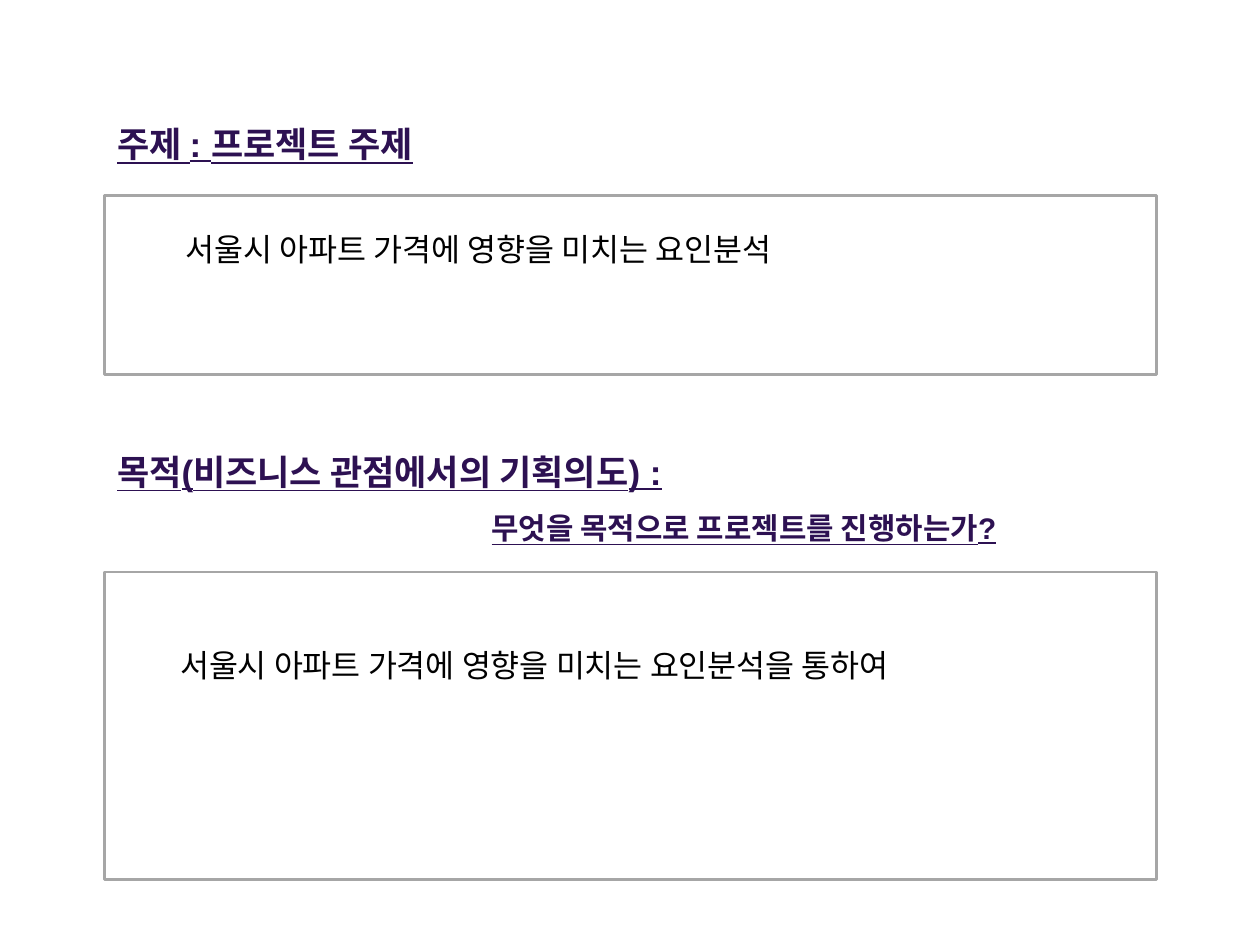
from dataclasses import dataclass

from lxml.etree import SubElement
from pptx import Presentation
from pptx.dml.color import RGBColor
from pptx.enum.shapes import MSO_SHAPE
from pptx.enum.text import MSO_ANCHOR, MSO_AUTO_SIZE, PP_ALIGN
from pptx.oxml.ns import qn
from pptx.util import Cm, Pt

LEFT, WIDTH = 2.11, 21.21
PURPLE, GREY, BLACK = "2D1152", "A6A6A6", "000000"
KOREAN = "Noto Sans CJK KR"


@dataclass
class Box:
    left: float
    top: float
    width: float
    height: float

    def lengths(self) -> tuple:
        return Cm(self.left), Cm(self.top), Cm(self.width), Cm(self.height)


@dataclass
class Line:
    text: str
    size: int
    heading: bool = False
    spacing: float = 1.0
    indent: float = 0


def color(value: str) -> RGBColor:
    return RGBColor.from_string(value)


def write(sp, lines: list[Line]) -> None:
    tf = sp.text_frame
    tf.word_wrap = True
    tf.auto_size = MSO_AUTO_SIZE.SHAPE_TO_FIT_TEXT
    tf.vertical_anchor = MSO_ANCHOR.TOP
    for i, line in enumerate(lines):
        p = tf.add_paragraph() if i else tf.paragraphs[0]
        p.alignment = PP_ALIGN.LEFT
        p.line_spacing = line.spacing
        if line.indent:
            p._p.get_or_add_pPr().set("marL", str(Cm(line.indent)))
        r = p.add_run()
        r.text = line.text
        r.font.size = Pt(line.size)
        r.font.bold = r.font.underline = line.heading
        r.font.color.rgb = color(PURPLE if line.heading else BLACK)
        r.font.name = "Arial" if line.heading else KOREAN
        SubElement(r.font._element, qn("a:ea"), typeface=KOREAN)


def add_text(s, box: Box, lines: list[Line]) -> None:
    write(s.shapes.add_textbox(*box.lengths()), lines)


def add_frame(s, box: Box) -> None:
    sp = s.shapes.add_shape(MSO_SHAPE.RECTANGLE, *box.lengths())
    sp.shadow.inherit = False
    sp.fill.background()
    sp.line.color.rgb = color(GREY)
    sp.line.width = Pt(1.5)


def main() -> None:
    prs = Presentation()
    prs.slide_width, prs.slide_height = Cm(25.4), Cm(19.05)
    s = prs.slides.add_slide(prs.slide_layouts[5])

    title = s.shapes.title
    title.left, title.top, title.width, title.height = Box(LEFT, 2.34, 7.54, 1.11).lengths()
    write(title, [Line("주제 : 프로젝트 주제", 20, heading=True)])

    for top, height in ((3.94, 3.61), (11.53, 6.2)):
        add_frame(s, Box(LEFT, top, WIDTH, height))

    add_text(s, Box(LEFT, 8.53, WIDTH, 2.64), [
        Line("목적(비즈니스 관점에서의 기획의도) :", 20, heading=True, spacing=1.5),
        Line("무엇을 목적으로 프로젝트를 진행하는가?", 17, heading=True, spacing=1.5, indent=7.55),
    ])
    add_text(s, Box(3.5, 4.52, 18.72, 1.02),
             [Line("서울시 아파트 가격에 영향을 미치는 요인분석", 18)])
    add_text(s, Box(3.38, 12.9, 18.72, 1.02),
             [Line("서울시 아파트 가격에 영향을 미치는 요인분석을 통하여", 18)])

    prs.save("out.pptx")


if __name__ == "__main__":
    main()
